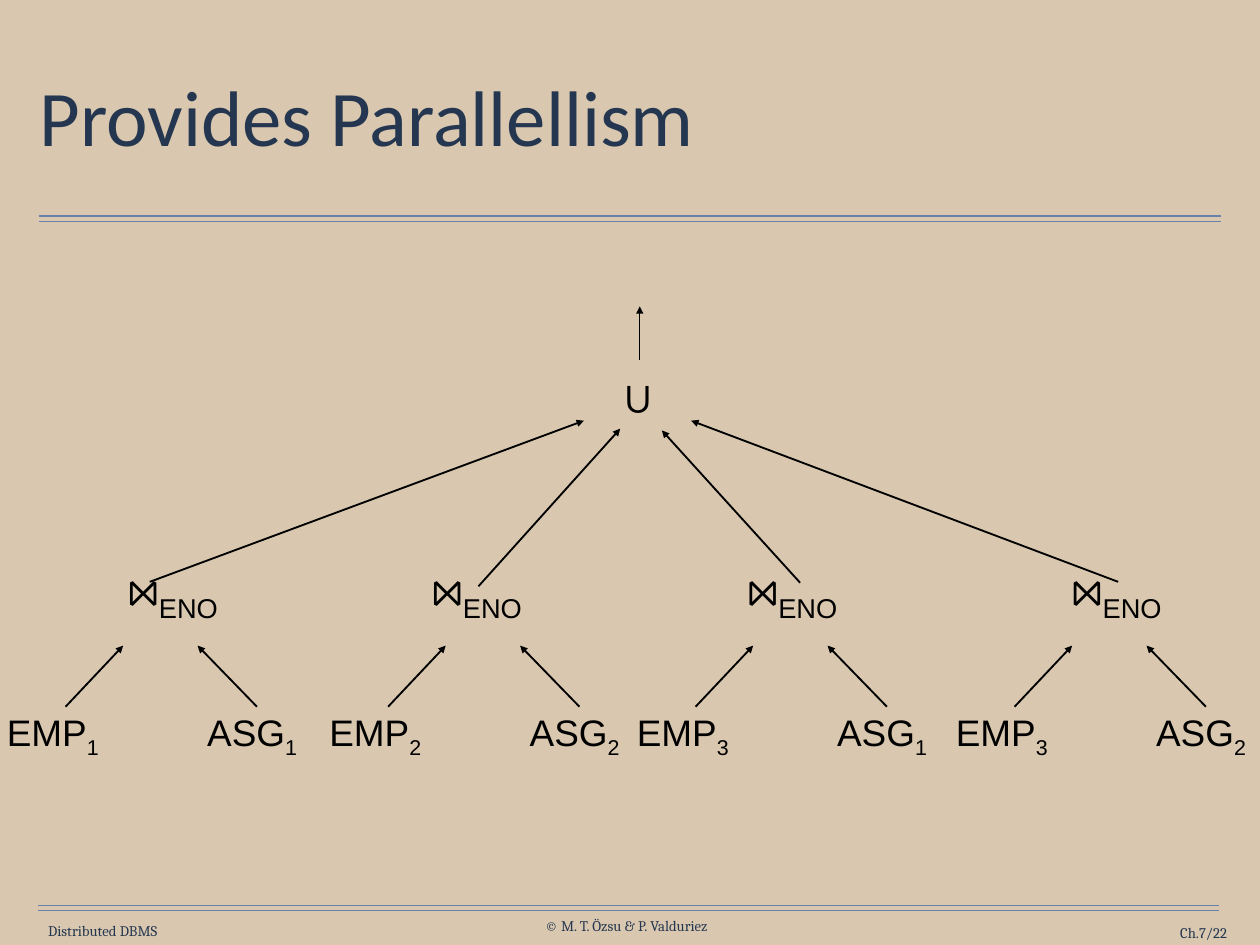
from lxml import etree
from pptx import Presentation
from pptx.dml.color import RGBColor
from pptx.enum.shapes import MSO_CONNECTOR
from pptx.enum.text import MSO_ANCHOR as Anchor, MSO_AUTO_SIZE as AutoSize, PP_ALIGN as Align
from pptx.oxml.ns import qn
from pptx.util import Pt

PX = 9144  # 100 px to the inch
SAND = RGBColor(0xD9, 0xC8, 0xAF)
NAVY = RGBColor(0x25, 0x37, 0x50)
STEEL = RGBColor(0x66, 0x82, 0xAA)
BLACK = RGBColor(0, 0, 0)

# Left edge of each join tree, centre of its join label, and the arrow to the union
TREES = [
    (-8, 195, "1", "1", (169, 657), (659, 475)),
    (356, 538, "2", "2", (540, 662), (700, 484)),
    (703, 894, "3", "1", (903, 658), (747, 486)),
    (1063, 1260, "3", "2", (1262, 657), (780, 475)),
]

FOOTERS = [
    ("Distributed DBMS", (47, 1041, 138, 20), Align.CENTER),
    ("© M. T. Özsu & P. Valduriez", (603, 1035, 208, 20), Align.CENTER),
    ("Ch.7/22", (1231, 1043, 154, 20), Align.RIGHT),
]


def place(shape, left, top, width, height):
    shape.left, shape.top = left * PX, top * PX
    shape.width, shape.height = width * PX, height * PX


def set_margins(frame, across, down):
    frame.margin_left = frame.margin_right = across * PX
    frame.margin_top = frame.margin_bottom = down * PX


def add_span(para, text, size, font, color, subscript=False):
    span = para.add_run()
    span.text = text
    span.font.size = Pt(size)
    span.font.name = font
    span.font.color.rgb = color
    if subscript:
        span._r.get_or_add_rPr().set("baseline", "-25000")


def add_label(page, area, align=Align.CENTER, margins=(0, 0), anchor=Anchor.TOP):
    """Add an unwrapped text box and return its first paragraph."""
    box = page.shapes.add_textbox(*(length * PX for length in area))
    frame = box.text_frame
    frame.word_wrap = False
    frame.vertical_anchor = anchor
    set_margins(frame, *margins)
    para = frame.paragraphs[0]
    para.alignment = align
    return para


def add_line(page, start, end, color=BLACK, width=1.5, arrow=True):
    points = [length * PX for length in (*start, *end)]
    line = page.shapes.add_connector(MSO_CONNECTOR.STRAIGHT, *points)
    line.line.color.rgb = color
    line.line.width = Pt(width)
    if arrow:
        etree.SubElement(line.line._get_or_add_ln(), qn("a:tailEnd"), type="triangle")
    etree.SubElement(line._element.spPr, qn("a:effectLst"))


def add_double_rule(page, left, right, top):
    for y in (top, top + 6):
        add_line(page, (left, y), (right, y), STEEL, 1, arrow=False)


def add_title(page, text):
    title = page.shapes.title
    place(title, 39, 49, 1344, 176)
    frame = title.text_frame
    frame.auto_size = AutoSize.NONE
    frame.word_wrap = True
    frame.vertical_anchor = Anchor.MIDDLE
    set_margins(frame, 6, 6)
    para = frame.paragraphs[0]
    para.alignment = Align.LEFT
    para.line_spacing = 0.9
    add_span(para, text, 64, "Calibri", NAVY)


def add_relation(page, left, name, index):
    para = add_label(page, (left, 794, 135, 64), margins=(14, 7))
    add_span(para, name, 30, "Arial", BLACK)
    add_span(para, index, 30, "Arial", BLACK, subscript=True)


def add_join(page, center):
    para = add_label(page, (center - 70, 661, 140, 48))
    para.line_spacing = Pt(31.3)
    add_span(para, "⋈", 40, "Cambria", BLACK)
    add_span(para, "ENO", 38, "Arial", BLACK, subscript=True)


def add_tree(page, left, center, emp, asg, start, end):
    """Add two fragments, the join above them and its arrow to the union."""
    add_relation(page, left, "EMP", emp)
    add_relation(page, left + 225, "ASG", asg)
    for foot, tip in ((82, 147), (298, 231)):
        add_line(page, (left + foot, 798), (left + tip, 729))
    add_line(page, start, end)
    add_join(page, center)


def add_union(page):
    para = add_label(page, (687, 410, 67, 75), margins=(14, 7))
    add_span(para, "∪", 36, "Arial", BLACK)
    add_line(page, (722, 407), (722, 346), width=1)


def main():
    deck = Presentation()
    deck.slide_width, deck.slide_height = 1422 * PX, 1067 * PX
    page = deck.slides.add_slide(deck.slide_layouts[5])
    page.background.fill.solid()
    page.background.fill.fore_color.rgb = SAND

    add_double_rule(page, 44, 1378, 244)
    add_double_rule(page, 43, 1376, 1022)
    for text, area, align in FOOTERS:
        para = add_label(page, area, align, anchor=Anchor.MIDDLE)
        add_span(para, text, 12, "Cambria", NAVY)

    add_title(page, "Provides Parallellism")
    add_union(page)
    for tree in TREES:
        add_tree(page, *tree)
    deck.save("out.pptx")


if __name__ == "__main__":
    main()
